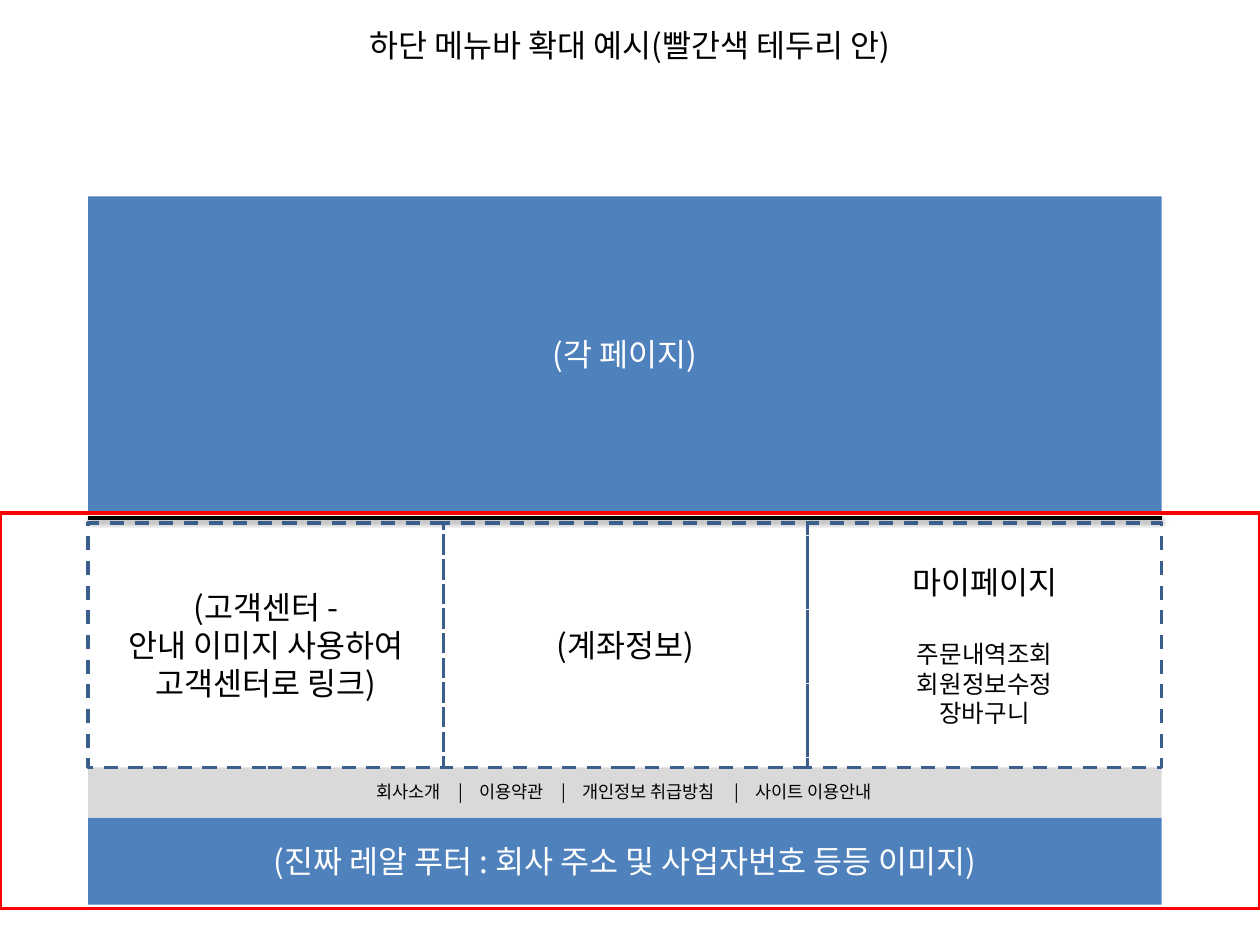
from lxml.etree import SubElement
from pptx import Presentation
from pptx.dml.color import RGBColor
from pptx.enum.dml import MSO_LINE
from pptx.enum.shapes import MSO_CONNECTOR, MSO_SHAPE
from pptx.enum.text import MSO_ANCHOR, MSO_AUTO_SIZE, PP_ALIGN
from pptx.oxml.ns import qn
from pptx.util import Inches, Pt

FONT = "Noto Sans CJK KR"
COLORS = {
    "text": "000000",
    "light": "FFFFFF",
    "block": "4F81BD",
    "menu": "D9D9D9",
    "cell": "3A5F8C",
    "frame": "FF0000",
}
LEFT, RIGHT = 0.7, 9.22
WIDTH = RIGHT - LEFT
COLUMN_EDGES = [LEFT, 3.52, 6.41, RIGHT]
CELLS_TOP, MENU_TOP, FOOTER_TOP = 4.15, 6.09, 6.49
CELL_TEXTS = [
    ["(고객센터 -", "안내 이미지 사용하여 고객센터로 링크)"],
    ["(계좌정보)"],
    ["마이페이지", "주문내역조회", "회원정보수정", "장바구니"],
]
MENU_ITEMS = ["회사소개", "이용약관", "개인정보 취급방침", "사이트 이용안내"]
MENU_STOPS = [2.44, 2.86, 3.26, 3.68, 4.35, 5.05, 5.66]


def rgb(name):
    """Return the palette colour of the given name."""
    return RGBColor.from_string(COLORS[name])


def format_paragraph(paragraph, size=18, color="text", alignment=PP_ALIGN.CENTER):
    """Set alignment, font, size and colour of one paragraph."""
    paragraph.alignment = alignment
    for run in paragraph.runs:
        run.font.name = FONT
        run.font.size = Pt(size)
        run.font.color.rgb = rgb(color)
        SubElement(run.font._element, qn("a:ea"), typeface=FONT)


def add_box(slide, box, fill=None, line=None, dashed=False, text="", color="text"):
    """Add a rectangle with optional fill, outline and centred text."""
    shape = slide.shapes.add_shape(MSO_SHAPE.RECTANGLE, *map(Inches, box))
    shape.shadow.inherit = False
    if fill:
        shape.fill.solid()
        shape.fill.fore_color.rgb = rgb(fill)
    else:
        shape.fill.background()
    if line:
        shape.line.color.rgb = rgb(line)
        shape.line.width = Pt(2)
    else:
        shape.line.fill.background()
    if dashed:
        shape.line.dash_style = MSO_LINE.DASH
    text_frame = shape.text_frame
    text_frame.word_wrap = True
    text_frame.vertical_anchor = MSO_ANCHOR.MIDDLE
    text_frame.text = text
    for paragraph in text_frame.paragraphs:
        format_paragraph(paragraph, color=color)
    return shape


def add_title(slide, box):
    """Place and format the title placeholder."""
    title = slide.shapes.title
    title.left, title.top, title.width, title.height = map(Inches, box)
    title.text_frame.text = "하단 메뉴바 확대 예시(빨간색 테두리 안)"
    title.text_frame.auto_size = MSO_AUTO_SIZE.NONE
    format_paragraph(title.text_frame.paragraphs[0])


def add_menu(slide, box):
    """Add the grey menu bar with its items on centred tab stops."""
    left, top, width, height = box
    add_box(slide, box, fill="menu")
    label = slide.shapes.add_textbox(*map(Inches, (left, top + 0.06, width, height - 0.12)))
    label.text_frame.word_wrap = True
    paragraph = label.text_frame.paragraphs[0]
    paragraph.text = "\t" + "\t|\t".join(MENU_ITEMS)
    format_paragraph(paragraph, 10, alignment=PP_ALIGN.LEFT)
    tabs = SubElement(paragraph._p.get_or_add_pPr(), qn("a:tabLst"))
    for stop in MENU_STOPS:
        SubElement(tabs, qn("a:tab"), pos=str(Inches(stop)), algn="ctr")


def add_divider(slide, left, right, top):
    """Add the black rule with a soft shadow below it."""
    points = map(Inches, (left, top, right, top))
    divider = slide.shapes.add_connector(MSO_CONNECTOR.STRAIGHT, *points)
    divider.line.color.rgb = rgb("text")
    divider.line.width = Pt(2)
    effects = SubElement(divider._element.spPr, qn("a:effectLst"))
    shadow = SubElement(effects, qn("a:outerShdw"), blurRad=str(Pt(3.1)),
                        dist=str(Pt(1.6)), dir="5400000", rotWithShape="0")
    color = SubElement(shadow, qn("a:srgbClr"), val=COLORS["text"])
    SubElement(color, qn("a:alpha"), val="38000")


def add_cells(slide, edges, top, height):
    """Add the dashed cells between neighbouring column edges."""
    for left, right, lines in zip(edges, edges[1:], CELL_TEXTS):
        cell = add_box(slide, (left, top, right - left, height), line="cell",
                       dashed=True, text="\n".join(lines))
    links = cell.text_frame.paragraphs[1:]
    links[0].space_before = Pt(22)
    for paragraph in links:
        for run in paragraph.runs:
            run.font.size = Pt(14)


def build():
    """Build the slide and save it."""
    presentation = Presentation()
    presentation.slide_width, presentation.slide_height = Inches(10), Inches(7.5)
    slide = presentation.slides.add_slide(presentation.slide_layouts[5])
    add_title(slide, (0, 0.16, 10, 0.4))
    add_menu(slide, (LEFT, MENU_TOP, WIDTH, FOOTER_TOP - MENU_TOP))
    add_divider(slide, LEFT, RIGHT, 4.11)
    add_box(slide, (LEFT, 1.56, WIDTH, 2.5), fill="block",
            text="(각 페이지)", color="light")
    add_box(slide, (0, 4.07, 10, 3.14), line="frame")
    add_cells(slide, COLUMN_EDGES, CELLS_TOP, MENU_TOP - CELLS_TOP)
    add_box(slide, (LEFT, FOOTER_TOP, WIDTH, 0.69), fill="block", color="light",
            text="(진짜 레알 푸터 : 회사 주소 및 사업자번호 등등 이미지)")
    presentation.save("out.pptx")


build()
